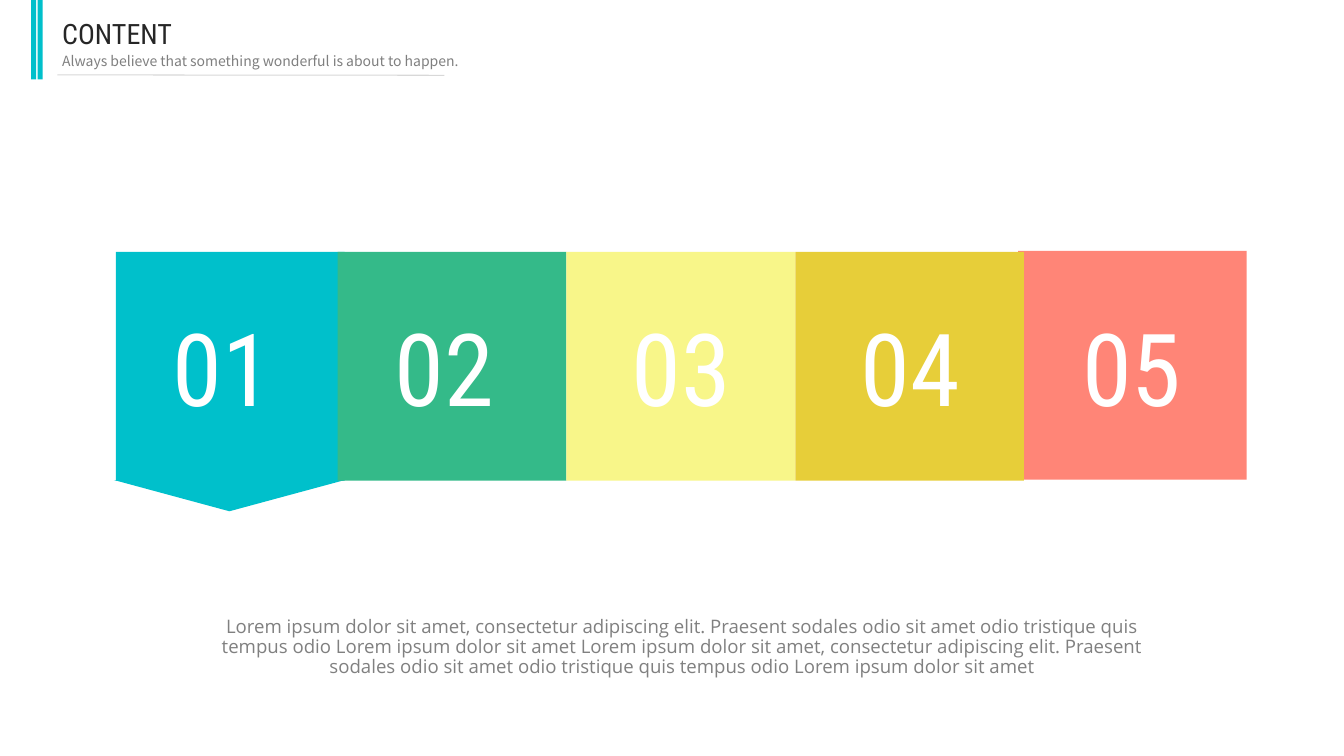
import pptx
import pptx.util
import pptx.dml.color
import pptx.enum.shapes
import pptx.enum.text
import pptx.oxml.ns
from lxml import etree

Pt = pptx.util.Pt
SHAPES = pptx.enum.shapes.MSO_SHAPE
ALIGN = pptx.enum.text.PP_ALIGN

COLORS = {
    "teal": "00C0CB",
    "green": "34BA89",
    "yellow": "F8F689",
    "gold": "E7CE39",
    "coral": "FF8577",
    "title": "262626",
    "subtitle": "7F7F7F",
    "body": "808080",
    "rule": "D8D8D8",
    "white": "FFFFFF",
}
HEADING_FONT = "Roboto Condensed"
TILE_SIZE = 163.4
NUMBER_WIDTH, NUMBER_HEIGHT = 103.7, 113
BODY = (
    "Lorem ipsum dolor sit amet, consectetur adipiscing elit. Praesent sodales odio "
    "sit amet odio tristique quis tempus odio Lorem ipsum dolor sit amet Lorem ipsum "
    "dolor sit amet, consectetur adipiscing elit. Praesent sodales odio sit amet odio "
    "tristique quis tempus odio Lorem ipsum dolor sit amet"
)


def rgb(color):
    return pptx.dml.color.RGBColor.from_string(COLORS[color])


def add_block(slide, kind, left, top, width, height, color):
    block = slide.shapes.add_shape(kind, Pt(left), Pt(top), Pt(width), Pt(height))
    block.shadow.inherit = False
    block.fill.solid()
    block.fill.fore_color.rgb = rgb(color)
    block.line.fill.background()
    return block


def add_text(slide, text, left, top, width, height, size, font, color,
             align=ALIGN.LEFT, spacing=None):
    frame = slide.shapes.add_textbox(Pt(left), Pt(top), Pt(width), Pt(height)).text_frame
    frame.word_wrap = True
    frame.margin_top = frame.margin_bottom = 0
    frame.vertical_anchor = pptx.enum.text.MSO_ANCHOR.MIDDLE
    paragraph = frame.paragraphs[0]
    paragraph.text = text
    paragraph.alignment = align
    paragraph.line_spacing = spacing
    paragraph.font.size = Pt(size)
    paragraph.font.name = font
    paragraph.font.color.rgb = rgb(color)


def add_rule(slide, x1, y1, x2, y2):
    rule = slide.shapes.add_connector(
        pptx.enum.shapes.MSO_CONNECTOR.STRAIGHT, Pt(x1), Pt(y1), Pt(x2), Pt(y2))
    rule.line.color.rgb = rgb("rule")
    rule.line.width = Pt(0.75)
    etree.SubElement(rule._element.spPr, pptx.oxml.ns.qn("a:effectLst"))


def add_header(slide):
    for left in (22.3, 26.9):
        add_block(slide, SHAPES.RECTANGLE, left, 0, 3.6, 56.7, "teal")
    add_text(slide, "CONTENT", 37.4, 7.9, 304.6, 31.7, 20, HEADING_FONT, "title")
    add_text(slide, "Always believe that something wonderful is about to happen.",
             37.4, 33.8, 304.6, 19.4, 10, "Noto Sans CJK SC", "subtitle")
    add_rule(slide, 41, 53.5, 317.5, 53.8)


def add_tiles(slide):
    tiles = [
        ("teal", 82.8, 180, 107.3),
        ("green", 241.2, 180, 265.7),
        ("coral", 727.2, 179.3, 756.7),
        ("yellow", 404.6, 180, 434.9),
        ("gold", 568.1, 180, 598.3),
    ]
    add_block(slide, SHAPES.ISOSCELES_TRIANGLE, 81.4, 342.9, 164.9, 22.3, "teal").rotation = 180
    for color, left, top, _ in tiles:
        add_block(slide, SHAPES.RECTANGLE, left, top, TILE_SIZE, TILE_SIZE, color)
    for number, (_, _, _, left) in enumerate(sorted(tiles, key=lambda tile: tile[1]), 1):
        add_text(slide, f"{number:02}", left, 204.8, NUMBER_WIDTH, NUMBER_HEIGHT,
                 72, HEADING_FONT, "white", ALIGN.CENTER)


def main():
    deck = pptx.Presentation()
    deck.slide_width, deck.slide_height = Pt(960), Pt(540)
    slide = deck.slides.add_slide(deck.slide_layouts[6])
    add_header(slide)
    add_tiles(slide)
    add_text(slide, BODY, 142.6, 434.9, 689.8, 55.4, 13.3, "Open Sans", "body",
             ALIGN.CENTER, 0.9)
    deck.save("out.pptx")


if __name__ == "__main__":
    main()
